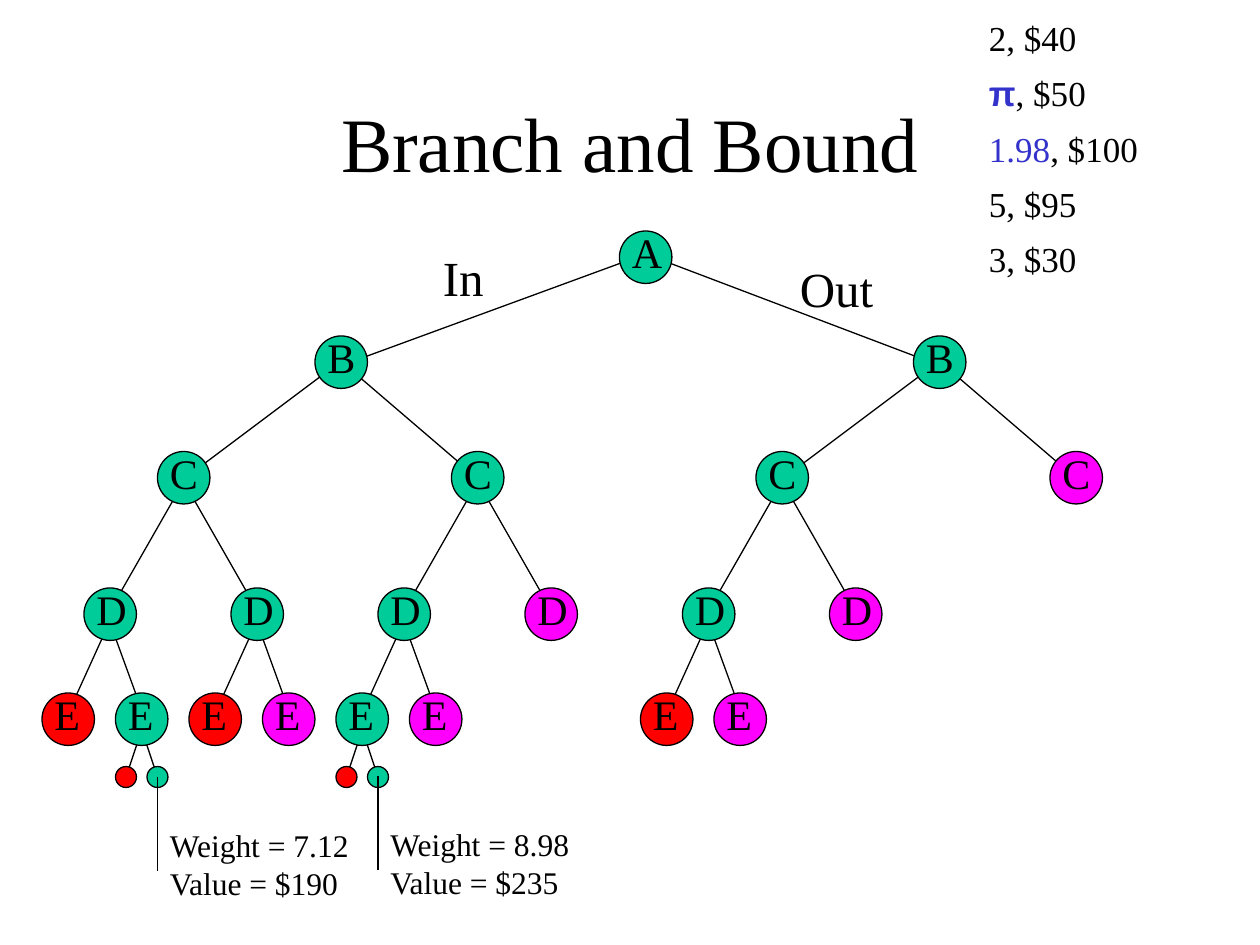
from dataclasses import dataclass

from lxml.etree import SubElement
from pptx import Presentation
from pptx.dml.color import RGBColor
from pptx.enum.shapes import MSO_CONNECTOR, MSO_SHAPE
from pptx.enum.text import MSO_ANCHOR, MSO_AUTO_SIZE, PP_ALIGN
from pptx.oxml.ns import qn
from pptx.util import Emu, Pt


@dataclass(frozen=True)
class Theme:
    ink: str = "000000"
    accent: str = "3333CC"
    open: str = "00CC99"
    too_heavy: str = "FF0000"
    bounded: str = "FF00FF"
    font: str = "Times New Roman"
    symbol_font: str = "Arial"
    title: int = 44
    branch: int = 28
    node: int = 24
    item: int = 20
    answer: int = 18
    item_gap: float = 7.5
    line: float = 0.75


THEME = Theme()
EMU_PER_PX = 7620  # 120 px to the inch

# Per tree level: letter, top, diameter, label width
LEVELS = [
    ("A", 220, 50, 54),
    ("B", 320, 50, 51),
    ("C", 430, 50, 51),
    ("D", 560, 50, 54),
    ("E", 660, 50, 49),
    ("", 730, 20, 0),
]

OPEN, HEAVY, BOUNDED = THEME.open, THEME.too_heavy, THEME.bounded

# Each node: left, fill, then its "in" and "out" children
TREE = (590, OPEN,
        (300, OPEN,
         (150, OPEN,
          (80, OPEN,
           (40, HEAVY),
           (110, OPEN, (110, HEAVY), (140, OPEN))),
          (220, OPEN, (180, HEAVY), (250, BOUNDED))),
         (430, OPEN,
          (360, OPEN,
           (320, OPEN, (320, HEAVY), (350, OPEN)),
           (390, BOUNDED)),
          (500, BOUNDED))),
        (870, OPEN,
         (720, OPEN,
          (650, OPEN, (610, HEAVY), (680, BOUNDED)),
          (790, BOUNDED)),
         (1000, BOUNDED)))

# Items as weight and value
ITEMS = [("2", "$40"), ("π", "$50"), ("1.98", "$100"), ("5", "$95"), ("3", "$30")]

# Complete solutions: x, y of the leaf, then weight and value
ANSWERS = [(150, 740, "7.12", "$190"), (360, 739, "8.98", "$235")]


def px(n):
    return Emu(n * EMU_PER_PX)


class Slide:
    def __init__(self, prs, theme):
        self.theme = theme
        self.s = prs.slides.add_slide(prs.slide_layouts[5])

    def style(self, font, size):
        font.name = self.theme.font
        font.size = Pt(size)
        font.color.rgb = RGBColor.from_string(self.theme.ink)

    def title(self, text, x, y, w, h):
        sp = self.s.shapes.title
        sp.left, sp.top, sp.width, sp.height = map(px, (x, y, w, h))
        tf = sp.text_frame
        tf.text = text
        tf.auto_size = MSO_AUTO_SIZE.NONE
        tf.vertical_anchor = MSO_ANCHOR.MIDDLE
        p = tf.paragraphs[0]
        p.alignment = PP_ALIGN.CENTER
        self.style(p.font, self.theme.title)

    def text(self, lines, x, y, w, h, size, wrap=False):
        tf = self.s.shapes.add_textbox(*map(px, (x, y, w, h))).text_frame
        tf.word_wrap = wrap
        tf.auto_size = MSO_AUTO_SIZE.SHAPE_TO_FIT_TEXT
        tf.text = "\n".join(lines)
        for p in tf.paragraphs:
            self.style(p.font, size)
        return tf

    def line(self, x1, y1, x2, y2):
        cxn = self.s.shapes.add_connector(
            MSO_CONNECTOR.STRAIGHT, *map(px, (x1, y1, x2, y2)))
        cxn.line.color.rgb = RGBColor.from_string(self.theme.ink)
        cxn.line.width = Pt(self.theme.line)
        SubElement(cxn._element.spPr, qn("a:effectLst"))

    def circle(self, x, y, d, fill):
        sp = self.s.shapes.add_shape(MSO_SHAPE.OVAL, *map(px, (x, y, d, d)))
        sp.shadow.inherit = False
        sp.fill.solid()
        sp.fill.fore_color.rgb = RGBColor.from_string(fill)
        sp.line.color.rgb = RGBColor.from_string(self.theme.ink)
        sp.line.width = Pt(self.theme.line)

    def edges(self, node, level=0):
        """Lines to the children, aimed slightly off centre inside the circles."""
        left, _, *children = node
        top = LEVELS[level][1]
        for child, start, end in zip(children, (30, 20), (20, 30)):
            _, child_top, d, _ = LEVELS[level + 1]
            dx, dy = (end, 30) if d == 50 else (d // 2, d // 2)
            self.line(left + start, top + 20, child[0] + dx, child_top + dy)
            self.edges(child, level + 1)

    def nodes(self, node, level=0):
        left, fill, *children = node
        letter, top, d, w = LEVELS[level]
        self.circle(left, top, d, fill)
        if letter:
            self.text([letter], left, top - 10, w, 60, self.theme.node)
        for child in children:
            self.nodes(child, level + 1)

    def items(self, items, x, y, w, h):
        tf = self.text([""] * len(items), x, y, w, h, self.theme.item, wrap=True)
        for i, (p, (weight, value)) in enumerate(zip(tf.paragraphs, items)):
            if i:
                p.space_before = Pt(self.theme.item_gap)
            r = p.add_run()
            r.text = weight
            p.add_run().text = f", {value}"
            if weight in ("π", "1.98"):
                r.font.color.rgb = RGBColor.from_string(self.theme.accent)
            if weight == "π":
                r.font.name = self.theme.symbol_font
                r.font.bold = True


def main():
    prs = Presentation()
    prs.slide_width, prs.slide_height = px(1200), px(900)
    s = Slide(prs, THEME)

    # Title
    s.title("Branch and Bound", 90, 60, 1020, 150)

    # Search tree, lines behind circles
    s.edges(TREE)
    s.nodes(TREE)

    # Branch labels
    s.text(["In"], 410, 230, 65, 68, THEME.branch)
    s.text(["Out"], 750, 240, 96, 68, THEME.branch)

    # Complete solutions
    for x, y, weight, value in ANSWERS:
        s.line(x, y, x, y + 90)
        s.text([f"Weight = {weight}", f"Value = {value}"],
               x, y + 41, 198, 84, THEME.answer)

    # Item list
    s.items(ITEMS, 930, 10, 200, 263)

    prs.save("out.pptx")


if __name__ == "__main__":
    main()
